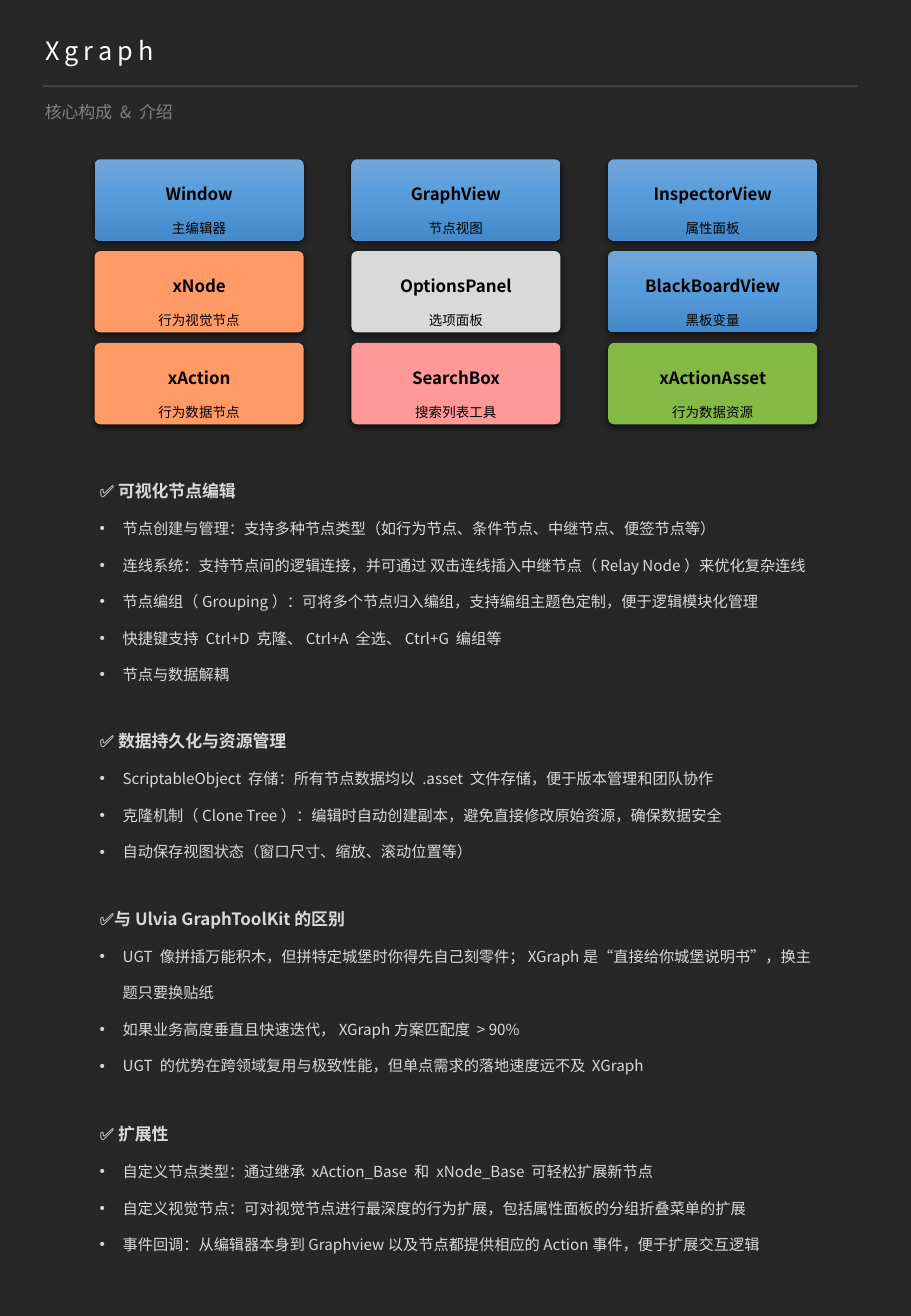
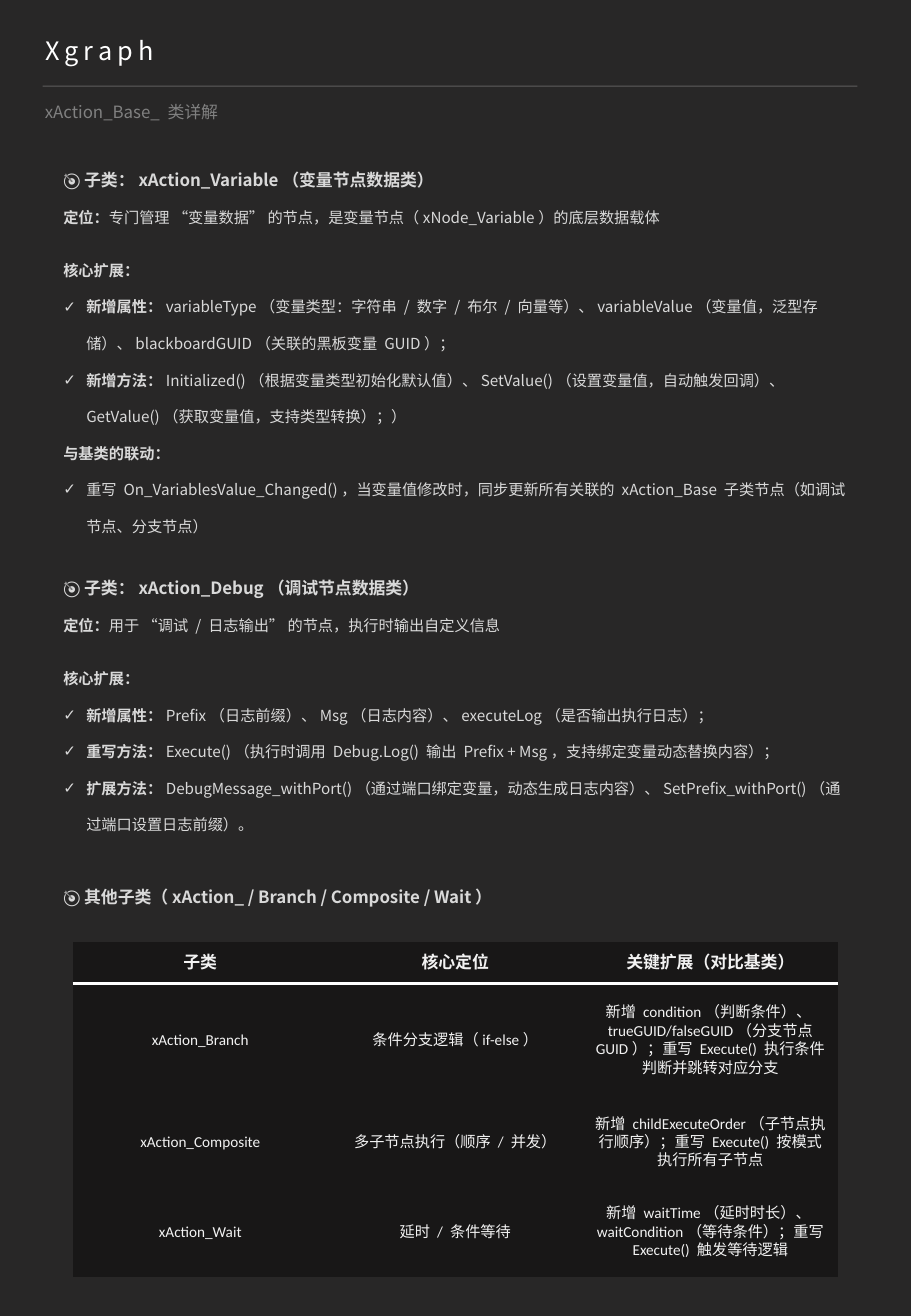
from copy import deepcopy
from dataclasses import dataclass
from typing import Any, NamedTuple

from lxml.etree import SubElement
from pptx import Presentation
from pptx.dml.color import RGBColor
from pptx.enum.shapes import MSO_CONNECTOR, MSO_SHAPE
from pptx.enum.text import MSO_ANCHOR, MSO_AUTO_SIZE, PP_ALIGN
from pptx.oxml.ns import qn
from pptx.util import Cm, Pt


# Theme: colours, fonts and type sizes
@dataclass(frozen=True)
class Theme:
    back: str = "282727"
    panel: str = "181717"
    white: str = "FFFFFF"
    black: str = "000000"
    pale: str = "F2F2F2"
    text: str = "D9D9D9"
    muted: str = "808080"
    rule: str = "A5A5A5"
    blue: tuple[str, ...] = ("71A6DB", "559BDB", "448ACA")
    orange: tuple[str, ...] = ("FF9966",)
    grey: tuple[str, ...] = ("D9D9D9",)
    pink: tuple[str, ...] = ("FF9999",)
    green: tuple[str, ...] = ("85B945",)
    font: str = "Noto Sans CJK SC"
    grid: str = "Calibri"
    title: float = 15
    head: float = 10
    body: float = 9
    note: float = 8


THEME = Theme()
PLAIN = "{2D5ABB26-0587-4C30-8999-92F81FD0307C}"  # table style without grid


class Area(NamedTuple):
    left: float
    top: float
    width: float
    height: float


class Card(NamedTuple):
    name: str
    note: str
    fill: tuple[str, ...]


class Line(NamedTuple):
    lead: str = ""
    text: str = ""
    mark: str = ""
    gap: float = 0


class Block(NamedTuple):
    top: float
    height: float
    head: str
    lines: list[Line]


def dots(*texts: str) -> list[Line]:
    return [Line(text=text, mark="•") for text in texts]


def tick(lead: str, text: str) -> Line:
    return Line(lead, text, "✓")


# Content of the first slide
CARDS = [
    Card("Window", "主编辑器", THEME.blue),
    Card("GraphView", "节点视图", THEME.blue),
    Card("InspectorView", "属性面板", THEME.blue),
    Card("xNode", "行为视觉节点", THEME.orange),
    Card("OptionsPanel", "选项面板", THEME.grey),
    Card("BlackBoardView", "黑板变量", THEME.blue),
    Card("xAction", "行为数据节点", THEME.orange),
    Card("SearchBox", "搜索列表工具", THEME.pink),
    Card("xActionAsset", "行为数据资源", THEME.green),
]
TRAITS = [
    Block(9.5, 4.85, "✅ 可视化节点编辑", dots(
        "节点创建与管理：支持多种节点类型（如行为节点、条件节点、中继节点、便签节点等）",
        "连线系统：支持节点间的逻辑连接，并可通过 双击连线插入中继节点（Relay Node）来优化复杂连线",
        "节点编组（Grouping）：可将多个节点归入编组，支持编组主题色定制，便于逻辑模块化管理",
        "快捷键支持 Ctrl+D 克隆、Ctrl+A 全选、Ctrl+G 编组等",
        "节点与数据解耦")),
    Block(14.73, 3.3, "✅ 数据持久化与资源管理", dots(
        "ScriptableObject 存储：所有节点数据均以 .asset 文件存储，便于版本管理和团队协作",
        "克隆机制（Clone Tree）：编辑时自动创建副本，避免直接修改原始资源，确保数据安全",
        "自动保存视图状态（窗口尺寸、缩放、滚动位置等）")),
    Block(18.44, 4.06, "✅与Ulvia GraphToolKit的区别", dots(
        "UGT 像拼插万能积木，但拼特定城堡时你得先自己刻零件；XGraph是“直接给你城堡说明书”，换主题只要换贴纸",
        "如果业务高度垂直且快速迭代，XGraph方案匹配度 > 90%",
        "UGT 的优势在跨领域复用与极致性能，但单点需求的落地速度远不及 XGraph")),
    Block(22.94, 3.3, "✅ 扩展性", dots(
        "自定义节点类型：通过继承 xAction_Base 和 xNode_Base 可轻松扩展新节点",
        "自定义视觉节点：可对视觉节点进行最深度的行为扩展，包括属性面板的分组折叠菜单的扩展",
        "事件回调：从编辑器本身到Graphview以及节点都提供相应的Action事件，便于扩展交互逻辑")),
]

# Content of the second slide
KINDS = [
    Block(3, 9.37, "🎯 子类：xAction_Variable（变量节点数据类）", [
        Line("定位：", "专门管理 “变量数据” 的节点，是变量节点（xNode_Variable）的底层数据载体"),
        Line("核心扩展：", gap=9.6),
        tick("新增属性：", "variableType（变量类型：字符串 / 数字 / 布尔 / 向量等）、variableValue"
             "（变量值，泛型存储）、blackboardGUID（关联的黑板变量 GUID）；"),
        tick("新增方法：", "Initialized()（根据变量类型初始化默认值）、SetValue()"
             "（设置变量值，自动触发回调）、GetValue()（获取变量值，支持类型转换）；）"),
        Line("与基类的联动："),
        tick("", "重写 On_VariablesValue_Changed()，当变量值修改时，同步更新所有关联的 "
             "xAction_Base 子类节点（如调试节点、分支节点）"),
    ]),
    Block(11.53, 6.45, "🎯 子类：xAction_Debug（调试节点数据类）", [
        Line("定位：", "用于 “调试 / 日志输出” 的节点，执行时输出自定义信息"),
        Line("核心扩展：", gap=9.6),
        tick("新增属性：", "Prefix（日志前缀）、Msg（日志内容）、executeLog（是否输出执行日志）；"),
        tick("重写方法：", "Execute()（执行时调用 Debug.Log() 输出 Prefix + Msg，支持绑定变量动态替换内容）；"),
        tick("扩展方法：", "DebugMessage_withPort()（通过端口绑定变量，动态生成日志内容）、"
             "SetPrefix_withPort()（通过端口设置日志前缀）。"),
    ]),
    Block(17.98, 1.22, "🎯 其他子类（xAction_ / Branch / Composite / Wait）", []),
]
ROWS = [
    ("子类", "核心定位", "关键扩展（对比基类）"),
    ("xAction_Branch", "条件分支逻辑（if-else）",
     "新增 condition（判断条件）、trueGUID/falseGUID（分支节点 GUID）；重写 Execute() 执行条件判断并跳转对应分支"),
    ("xAction_Composite", "多子节点执行（顺序 / 并发）",
     "新增 childExecuteOrder（子节点执行顺序）；重写 Execute() 按模式执行所有子节点"),
    ("xAction_Wait", "延时 / 条件等待",
     "新增 waitTime（延时时长）、waitCondition（等待条件）；重写 Execute() 触发等待逻辑"),
]


# Helpers
def put(item: Any, **form: Any) -> None:
    for key, value in form.items():
        setattr(item, key, value)


def place(shape: Any, area: Area) -> None:
    put(shape, **{key: Cm(value) for key, value in area._asdict().items()})


def node(parent: Any, tag: str, **attrs: Any) -> Any:
    return SubElement(parent, qn(tag), {key: str(val) for key, val in attrs.items()})


def write(para: Any, text: str, size: float, tint: str,
          bold: bool = False, face: str = THEME.font) -> Any:
    run = para.add_run()
    run.text = text
    put(run.font, size=Pt(size), bold=bold, name=face)
    run.font.color.rgb = RGBColor.from_string(tint)
    node(run.font._element, "a:ea", typeface=face)
    return run


def frame(shape: Any, anchor: Any = MSO_ANCHOR.TOP) -> Any:
    put(shape.text_frame, word_wrap=True, auto_size=MSO_AUTO_SIZE.NONE,
        vertical_anchor=anchor)
    return shape.text_frame


def start(para: Any, mark: str = "", gap: float = 0) -> None:
    props = para._p.get_or_add_pPr()
    inset = Cm(0.48) if mark else 0
    props.set("marL", str(inset))
    props.set("indent", str(-inset))
    if mark:
        node(props, "a:buChar", char=mark)
    else:
        node(props, "a:buNone")
    put(para, alignment=PP_ALIGN.LEFT, line_spacing=2.0,
        space_before=Pt(gap), space_after=Pt(0))


# Parts of a slide
def page(deck: Any, note: str, width: float) -> Any:
    slide = deck.slides.add_slide(deck.slide_layouts[4])
    title = slide.shapes.title
    place(title, Area(0.69, 0.61, 7.39, 0.89))
    para = frame(title).paragraphs[0]
    para.alignment = PP_ALIGN.LEFT
    run = write(para, "Xgraph", THEME.title, THEME.white)
    run.font._element.set("spc", "300")

    label = slide.shapes.add_textbox(Cm(0.69), Cm(2.01), Cm(width), Cm(0.69))
    write(frame(label).paragraphs[0], note, THEME.head, THEME.muted)

    rule = slide.shapes.add_connector(
        MSO_CONNECTOR.STRAIGHT, Cm(0.89), Cm(1.8), Cm(17.93), Cm(1.8))
    rule.line.width = Pt(0.5)
    rule.line.color.rgb = RGBColor.from_string(THEME.rule)
    tint = rule._element.spPr.find(".//" + qn("a:srgbClr"))
    node(tint, "a:alpha", val=43000)
    node(rule._element.spPr, "a:effectLst")
    return slide


def fill_list(slide: Any, blocks: list[Block], left: float, width: float) -> None:
    slots = [slot for slot in slide.placeholders if slot.placeholder_format.idx]
    for slot, block in zip(slots, blocks):
        place(slot, Area(left, block.top, width, block.height))
        text = frame(slot)
        para = text.paragraphs[0]
        start(para)
        write(para, block.head, THEME.head, THEME.text, True)
        for line in block.lines:
            para = text.add_paragraph()
            start(para, line.mark, line.gap)
            for part, bold in ((line.lead, True), (line.text, False)):
                if part:
                    write(para, part, THEME.body, THEME.text, bold)
    for slot in slots[len(blocks):]:
        slot._element.getparent().remove(slot._element)


def paint(shape: Any, tints: tuple[str, ...]) -> None:
    if len(tints) == 1:
        shape.fill.solid()
        shape.fill.fore_color.rgb = RGBColor.from_string(tints[0])
        return
    shape.fill.gradient()
    shape.fill.gradient_angle = 270
    stops = shape._element.spPr.find(".//" + qn("a:gsLst"))
    stops.append(deepcopy(stops[0]))
    for step, (stop, tint) in enumerate(zip(shape.fill.gradient_stops, tints)):
        stop.position = step / (len(tints) - 1)
        stop.color.rgb = RGBColor.from_string(tint)


def draw_card(group: Any, card: Card, area: Area) -> None:
    box = group.shapes.add_shape(MSO_SHAPE.ROUNDED_RECTANGLE, *map(Cm, area))
    box.adjustments[0] = 0.07
    paint(box, card.fill)
    box.line.fill.background()
    glow = node(node(box._element.spPr, "a:effectLst"), "a:outerShdw",
                blurRad=Pt(4.5), dist=Pt(1.5), dir=5400000, algn="ctr", rotWithShape=0)
    node(node(glow, "a:srgbClr", val=THEME.black), "a:alpha", val=63000)
    text = frame(box, MSO_ANCHOR.MIDDLE)
    parts = ((text.paragraphs[0], card.name, THEME.head, True),
             (text.add_paragraph(), card.note, THEME.note, False))
    for para, words, size, bold in parts:
        put(para, alignment=PP_ALIGN.CENTER, line_spacing=2.0)
        write(para, words, size, THEME.black, bold)


def draw_table(slide: Any) -> None:
    shape = slide.shapes.add_table(
        len(ROWS), len(ROWS[0]), Cm(1.52), Cm(19.69), Cm(16), Cm(7.01))
    table = shape.table
    table.horz_banding = False
    table._tbl.tblPr.find(qn("a:tableStyleId")).text = PLAIN
    for row, height in zip(table.rows, (0.86, 2.39, 1.88, 1.88)):
        row.height = Cm(height)
    for i, row in enumerate(ROWS):
        first = i == 0
        for j, words in enumerate(row):
            cell = table.cell(i, j)
            cell.vertical_anchor = MSO_ANCHOR.MIDDLE
            if first:
                edge = node(cell._tc.get_or_add_tcPr(), "a:lnB", w=Pt(2))
                node(node(edge, "a:solidFill"), "a:srgbClr", val=THEME.white)
            cell.fill.solid()
            cell.fill.fore_color.rgb = RGBColor.from_string(THEME.panel)
            para = cell.text_frame.paragraphs[0]
            para.alignment = PP_ALIGN.CENTER
            write(para, words, THEME.head if first else THEME.body,
                  THEME.pale, first, THEME.grid)


def main() -> None:
    deck = Presentation()
    put(deck, slide_width=Cm(19.05), slide_height=Cm(27.51))
    back = deck.slide_master.background.fill
    back.solid()
    back.fore_color.rgb = RGBColor.from_string(THEME.back)

    # Core parts and traits
    slide = page(deck, "核心构成 & 介绍", 3.96)
    group = slide.shapes.add_group_shape()
    for k, card in enumerate(CARDS):
        row, col = divmod(k, 3)
        draw_card(group, card, Area(1.98 + 5.37 * col, 3.33 + 1.92 * row, 4.37, 1.7))
    fill_list(slide, TRAITS, 1.83, 15.42)

    # Action classes
    slide = page(deck, "xAction_Base_ 类详解", 6.55)
    fill_list(slide, KINDS, 1.07, 16.87)
    draw_table(slide)

    deck.save("out.pptx")


if __name__ == "__main__":
    main()
